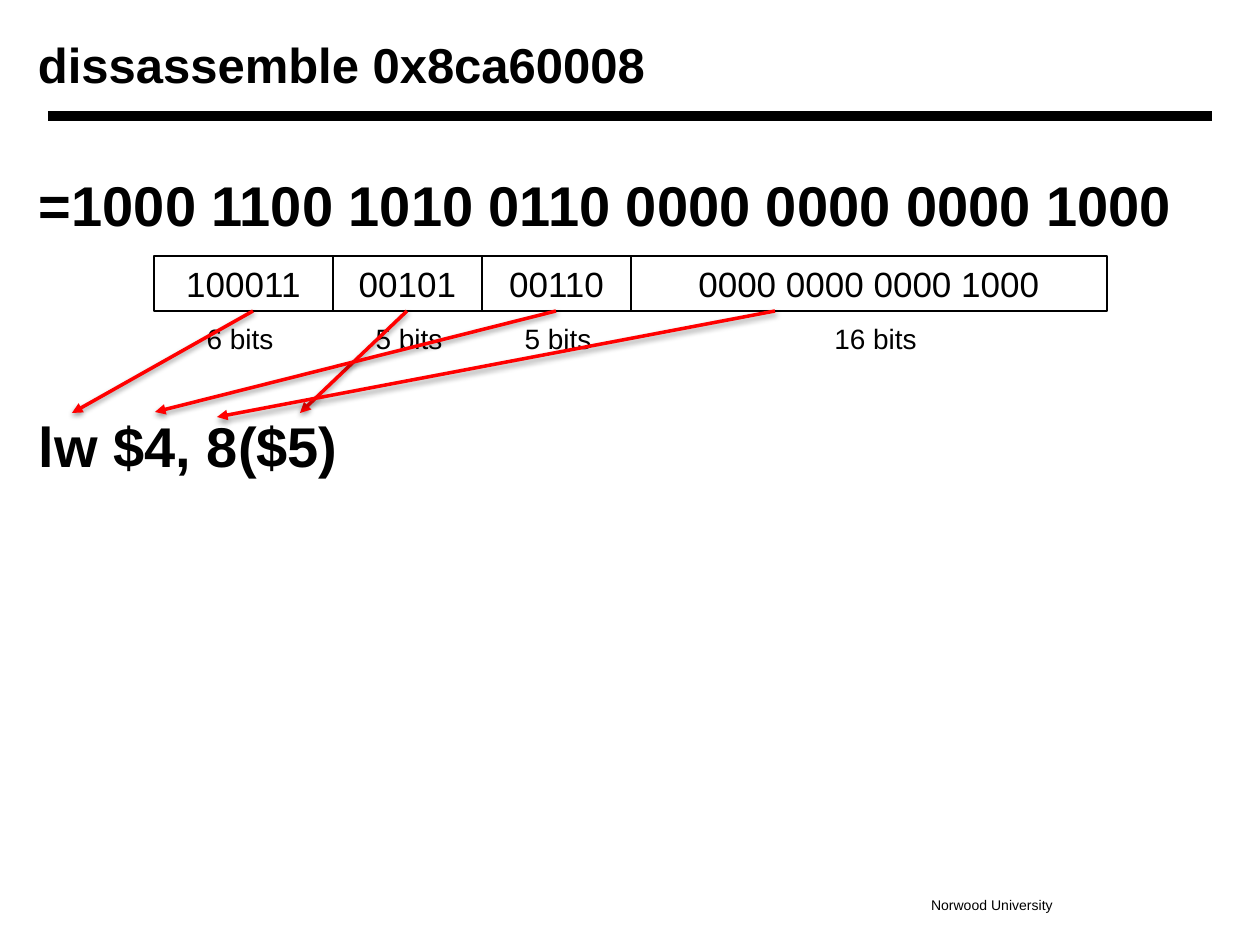
"""Build a slide that decodes a machine word into its assembly instruction."""
from dataclasses import dataclass
from typing import Optional

from lxml.etree import SubElement
from pptx import Presentation
from pptx.dml.color import RGBColor
from pptx.enum.shapes import MSO_CONNECTOR, MSO_SHAPE
from pptx.enum.text import MSO_ANCHOR, PP_ALIGN
from pptx.oxml.ns import qn
from pptx.util import Emu, Pt

BLACK = RGBColor(0x00, 0x00, 0x00)
RED = RGBColor(0xFF, 0x00, 0x00)
EMU_PER_PX = 914400 / 126
INSET = 6
FIELD_LEFT, FIELD_TOP, FIELD_HEIGHT = 154, 256, 55
FIELD_BOTTOM = FIELD_TOP + FIELD_HEIGHT
LABEL_TOP, LABEL_HEIGHT = 316, 43


@dataclass(frozen=True)
class Area:
    left: int
    top: int
    width: int
    height: int


@dataclass(frozen=True)
class Line:
    text: str
    size: int
    bold: bool = False
    align: PP_ALIGN = PP_ALIGN.LEFT
    before: int = 0


@dataclass(frozen=True)
class Field:
    bits: str
    width: int
    label: str
    label_left: int
    label_width: int
    arrow_start: int
    arrow_end: tuple[int, int]


FIELDS = (
    Field("100011", 179, "6 bits", 199, 82, 253, (72, 413)),
    Field("00101", 149, "5 bits", 368, 82, 407, (300, 413)),
    Field("00110", 149, "5 bits", 517, 82, 556, (155, 412)),
    Field("0000 0000 0000 1000", 476, "16 bits", 827, 97, 775, (217, 417)),
)


def px(length: int) -> Emu:
    """Turn pixels into EMU."""
    return Emu(round(length * EMU_PER_PX))


def set_all(target, values: dict) -> None:
    """Set every named attribute on the target."""
    for name, value in values.items():
        setattr(target, name, value)


def write(frame, lines: tuple[Line, ...], wrap: bool = True,
          anchor: MSO_ANCHOR = MSO_ANCHOR.TOP, top_inset: int = INSET) -> None:
    """Fill a text frame with formatted lines."""
    set_all(frame, {
        "word_wrap": wrap, "vertical_anchor": anchor,
        "margin_left": px(INSET), "margin_right": px(INSET),
        "margin_top": px(top_inset), "margin_bottom": px(INSET),
    })
    for index, line in enumerate(lines):
        para = frame.add_paragraph() if index else frame.paragraphs[0]
        set_all(para, {"alignment": line.align, "space_before": Pt(line.before)})
        span = para.add_run()
        span.text = line.text
        set_all(span.font, {"name": "Arial", "size": Pt(line.size), "bold": line.bold})
        span.font.color.rgb = BLACK


def add_text(page, area: Area, *lines: Line, **layout) -> None:
    """Add a text box."""
    box = page.shapes.add_textbox(
        px(area.left), px(area.top), px(area.width), px(area.height))
    write(box.text_frame, lines, **layout)


def add_cell(page, area: Area, line: Line) -> None:
    """Add an outlined box holding the bits of one field."""
    box = page.shapes.add_shape(
        MSO_SHAPE.RECTANGLE, px(area.left), px(area.top), px(area.width), px(area.height))
    box.shadow.inherit = False
    box.fill.background()
    box.line.color.rgb = BLACK
    box.line.width = Pt(1.5)
    write(box.text_frame, (line,))


def add_line(page, start: tuple[int, int], end: tuple[int, int],
             color: RGBColor, width: int):
    """Add a straight line and return it with its empty effect list."""
    connector = page.shapes.add_connector(
        MSO_CONNECTOR.STRAIGHT, *map(px, start), *map(px, end))
    connector.line.color.rgb = color
    connector.line.width = Pt(width)
    effects = SubElement(connector.element.spPr, qn("a:effectLst"))
    return connector, effects


def add_arrow(page, start: tuple[int, int], end: tuple[int, int]) -> None:
    """Add a red arrow with a soft shadow below it."""
    connector, effects = add_line(page, start, end, RED, 2)
    SubElement(connector.line._get_or_add_ln(), qn("a:tailEnd"), type="triangle")
    shadow = SubElement(effects, qn("a:outerShdw"), blurRad=str(Pt(3)),
                        dist=str(Pt(1.6)), dir="5400000", rotWithShape="0")
    shade = SubElement(shadow, qn("a:srgbClr"), val=str(BLACK))
    SubElement(shade, qn("a:alpha"), val="38000")


def add_fields(page, fields: tuple[Field, ...]) -> Optional[int]:
    """Draw the fields side by side with their bit counts and arrows."""
    left = FIELD_LEFT
    for field in fields:
        add_cell(page, Area(left, FIELD_TOP, field.width, FIELD_HEIGHT),
                 Line(field.bits, 20, align=PP_ALIGN.CENTER))
        add_text(page, Area(field.label_left, LABEL_TOP, field.label_width, LABEL_HEIGHT),
                 Line(field.label, 16, align=PP_ALIGN.CENTER), wrap=False)
        left += field.width
    for field in fields:
        add_arrow(page, (field.arrow_start, FIELD_BOTTOM), field.arrow_end)


def main() -> None:
    """Build and save the slide."""
    deck = Presentation()
    set_all(deck, {"slide_width": px(1260), "slide_height": px(945)})
    page = deck.slides.add_slide(deck.slide_layouts[6])
    add_line(page, (48, 116), (1212, 116), BLACK, 6)
    add_text(page, Area(925, 891, 134, 28), Line("Norwood University", 8), wrap=False)
    add_text(page, Area(32, 22, 1105, 84), Line("dissassemble 0x8ca60008", 28, True),
             anchor=MSO_ANCHOR.MIDDLE)
    add_text(page, Area(33, 159, 1155, 567),
             Line("=1000 1100 1010 0110 0000 0000 0000 1000", 32, True),
             Line("lw $4, 8($5)", 32, True, before=99), top_inset=2 * INSET)
    add_fields(page, FIELDS)
    deck.save("out.pptx")


if __name__ == "__main__":
    main()
